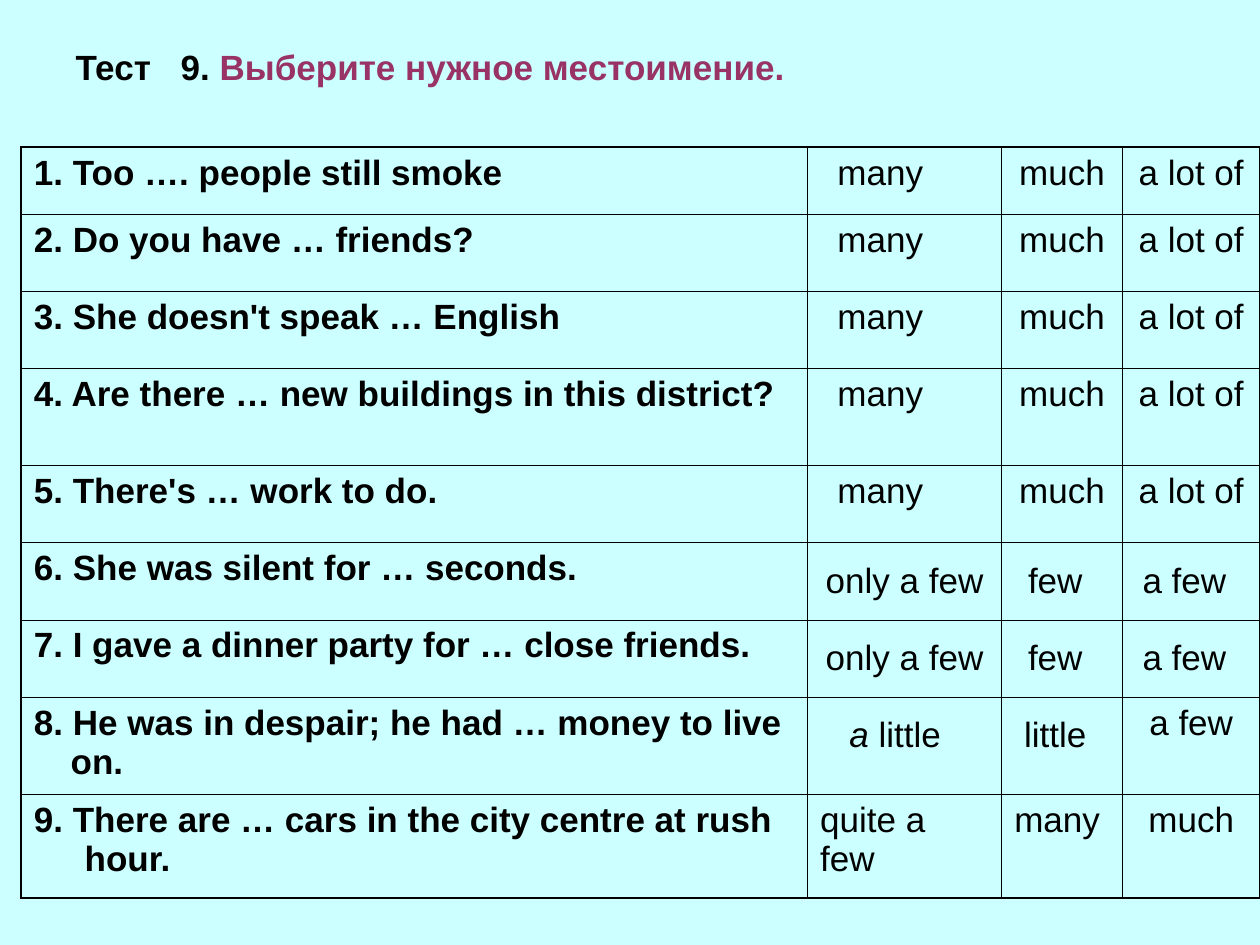
from pptx import Presentation
from pptx.dml.color import RGBColor
from pptx.enum import text as t
from pptx.oxml import parse_xml
from pptx.oxml.ns import nsdecls
from pptx.util import Pt

BLACK = RGBColor(0, 0, 0)
PLUM = RGBColor(0x99, 0x33, 0x66)
AQUA = RGBColor(0xCC, 0xFF, 0xFF)
THIN, THICK = 0.45, 1.08
PAD = 7.2

TITLE = [("Тест\t9. ", BLACK), ("Выберите нужное местоимение.", PLUM)]
MANY = ["many", "much", "a lot of"]
FEW = ["only a few ", "few ", "a few "]
TASKS = [
    ("1. Too …. people still smoke", MANY),
    ("2. Do you have … friends?", MANY),
    ("3. She doesn't speak … English", MANY),
    ("4. Are there … new buildings in this district?", MANY),
    ("5. There's … work to do.", MANY),
    ("6. She was silent for … seconds.", FEW),
    ("7. I gave a dinner party for … close friends.", FEW),
    ("8. He was in despair; he had … money to live on.",
     ["a little ", "little ", "a few"]),
    ("9. There are … cars in the city centre at rush hour.",
     ["quite a few", "many", "much"]),
]
WIDTHS = [449.3, 110.9, 69.1, 78.5]
HEIGHTS = [38.4, 44.1, 44.1, 55.4, 44.1, 44.1, 44.1, 55.4, 59.6]
HANG = {7: 21, 8: 29}
LEFT = {(7, 1), (8, 1), (8, 2)}
ITALIC = {(7, 1): "a "}


def style(para, bold):
    font = para.font
    font.name, font.size, font.bold = "Arial", Pt(20), bold
    font.color.rgb = BLACK


def border(cell, row, col):
    """Thick lines on the outer edge of the table, thin ones inside."""
    edges = {"L": col == 0, "R": col == len(WIDTHS) - 1,
             "T": row == 0, "B": row == len(HEIGHTS) - 1}
    props = cell._tc.get_or_add_tcPr()
    for side, outer in edges.items():
        width = Pt(THICK if outer else THIN)
        props.append(parse_xml(
            f'<a:ln{side} {nsdecls("a")} w="{width}"><a:solidFill>'
            f'<a:srgbClr val="{BLACK}"/></a:solidFill></a:ln{side}>'))


def write(cell, row, col, words):
    para = cell.text_frame.paragraphs[0]
    if col == 0 and row in HANG:
        props = para._p.get_or_add_pPr()
        props.set("marL", str(Pt(HANG[row])))
        props.set("indent", str(-Pt(HANG[row])))
    if col and (row, col) not in LEFT:
        para.alignment = t.PP_ALIGN.CENTER
    style(para, col == 0)
    lead = ITALIC.get((row, col), "")
    if lead:
        run = para.add_run()
        run.text, run.font.italic = lead, True
    body = words[len(lead):]
    para.add_run().text = body.rstrip()
    if body.endswith(" "):  # a large closing space makes the line taller
        run = para.add_run()
        run.text, run.font.size = " ", Pt(28)


def main():
    deck = Presentation()
    deck.slide_width, deck.slide_height = Pt(720), Pt(540)
    slide = deck.slides.add_slide(deck.slide_layouts[5])
    slide.background.fill.solid()
    slide.background.fill.fore_color.rgb = AQUA

    title = slide.shapes.title
    title.left, title.top, title.width, title.height = map(
        Pt, (36, 21.6, 437.8, 32.4))
    frame = title.text_frame
    frame.word_wrap = True
    frame.auto_size = t.MSO_AUTO_SIZE.NONE
    frame.vertical_anchor = t.MSO_ANCHOR.MIDDLE
    para = frame.paragraphs[0]
    para.alignment = t.PP_ALIGN.LEFT
    para._p.get_or_add_pPr().append(parse_xml(
        f'<a:tabLst {nsdecls("a")}><a:tab pos="{Pt(60)}" algn="l"/></a:tabLst>'))
    style(para, True)
    for words, color in TITLE:
        run = para.add_run()
        run.text, run.font.color.rgb = words, color

    table = slide.shapes.add_table(
        len(TASKS), len(WIDTHS), Pt(12.2), Pt(84.2),
        Pt(sum(WIDTHS)), Pt(sum(HEIGHTS))).table
    table.first_row = table.horz_banding = False
    for column, width in zip(table.columns, WIDTHS):
        column.width = Pt(width)
    for row, (task, options) in enumerate(TASKS):
        table.rows[row].height = Pt(HEIGHTS[row])
        for col, words in enumerate([task, *options]):
            cell = table.cell(row, col)
            border(cell, row, col)
            cell.fill.background()
            write(cell, row, col, words)
            if col == 1 and options is MANY:
                cell.margin_right = Pt(PAD + 27.8)
    table.cell(7, 1).margin_left = Pt(PAD + 16.7)

    deck.save("out.pptx")


if __name__ == "__main__":
    main()
